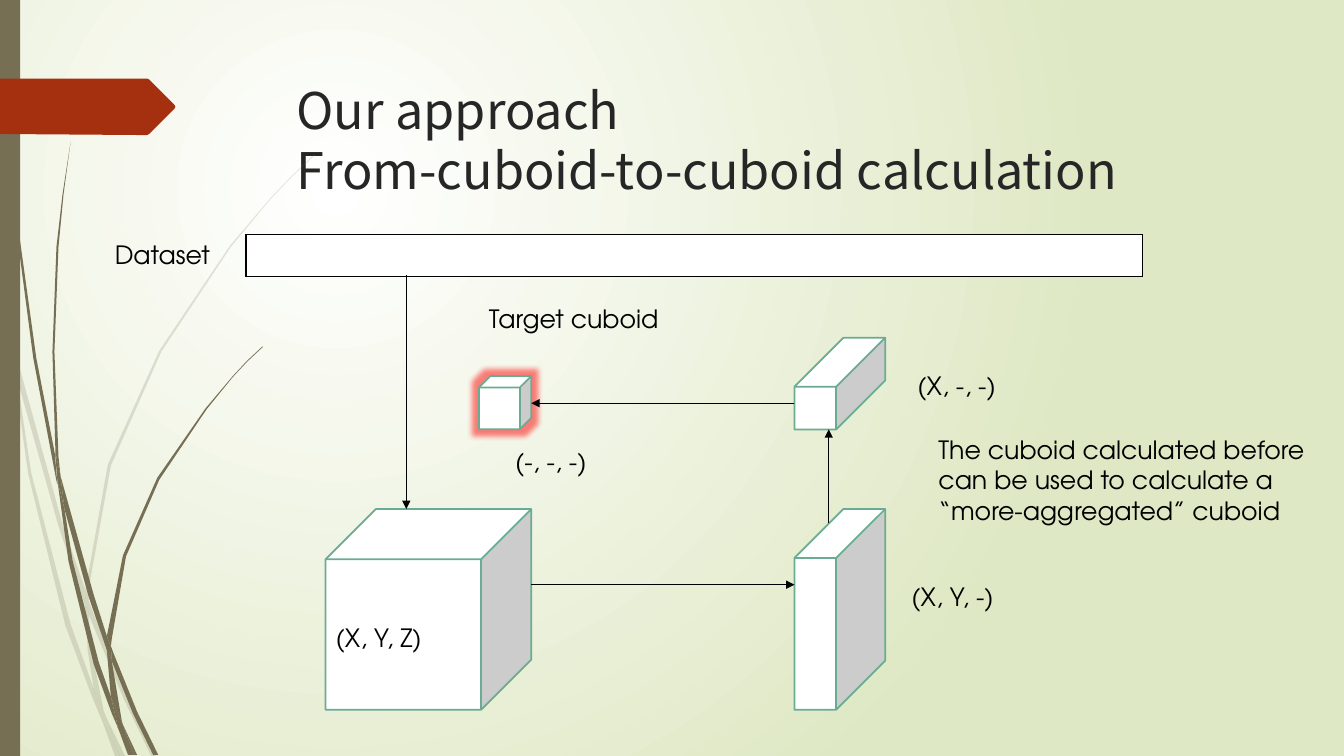
from dataclasses import dataclass

from lxml.etree import SubElement
from pptx import Presentation
from pptx.dml.color import RGBColor
from pptx.enum.shapes import MSO_CONNECTOR, MSO_SHAPE
from pptx.enum.text import MSO_ANCHOR, MSO_AUTO_SIZE, PP_ALIGN
from pptx.oxml.ns import qn
from pptx.util import Inches, Pt

OLIVE, RUST, GREEN = "766F54", "A53010", "6AAC91"
WHITE, BLACK, DARK, PALE, RED = "FFFFFF", "000000", "262626", "DFE8C4", "FF0000"
TITLE_FONT, BODY_FONT = "Noto Sans CJK SC", "TeX Gyre Adventor"
UNITS_PER_INCH = 1000

Outline = list[tuple[float, float]]


@dataclass
class Grass:
    opacity: int
    blades: list[Outline]


@dataclass
class Cuboid:
    left: float
    top: float
    width: float
    height: float
    depth: float
    glowing: bool = False


@dataclass
class Arrow:
    start: tuple[float, float]
    end: tuple[float, float]


@dataclass
class Label:
    text: str
    left: float
    top: float
    width: float
    height: float = 0.4


FAINT_GRASS = Grass(20, [
    [(0.11, 3.5), (0.09, 3.22), (0, 2.82), (0, 2.99), (0.1, 3.44)],
    [(0.58, 5.22), (0.84, 5.99), (0.85, 5.86), (0.62, 5.2), (0.14, 3.45), (0.17, 3.76)],
    [(0.92, 6.07), (0.88, 5.96), (0.88, 6.1), (1.23, 6.94), (1.5, 7.5), (1.55, 7.5), (1.27, 6.92)],
    [(1.19, 7.5), (1.24, 7.5), (1.05, 7.11)],
    [(0.93, 6.83), (0.7, 6.19), (0.31, 4.69), (0.17, 3.76), (0.11, 3.5), (0.28, 4.7),
     (0.65, 6.21), (0.92, 6.93), (1.01, 7.14), (0.99, 7.07)],
    [(0.84, 5.99), (0.87, 6.46), (0.93, 6.83), (0.96, 6.92), (1.05, 7.11), (1.03, 7.06),
     (0.91, 6.46), (0.88, 6.1), (0.88, 6.08)],
    [(0.88, 5.84), (1.1, 4.62), (1.6, 3.49), (2.29, 2.45), (2.68, 1.98), (2.9, 1.75),
     (3.12, 1.54), (3.12, 1.53), (2.89, 1.75), (2.68, 1.97), (2.28, 2.44), (1.58, 3.48),
     (1.07, 4.61), (0.85, 5.84), (0.85, 5.86), (0.88, 5.96)],
    [(1.01, 7.14), (1.14, 7.5), (1.19, 7.5)],
    [(0.88, 6.08), (0.88, 6.1), (0.88, 5.96), (0.85, 5.86), (0.84, 5.99)],
    [(0.96, 6.92), (0.93, 6.83), (0.99, 7.07), (1.01, 7.14), (1.19, 7.5), (1.05, 7.11)],
])
DARK_GRASS = Grass(100, [
    [(0.07, 1.1), (0.17, 2.33), (0.33, 3.55), (0.56, 4.77), (0.57, 4.81), (0.55, 4.57),
     (0.55, 4.53), (0.36, 3.55), (0.19, 2.32), (0.08, 1.09), (0.05, 0.48), (0.04, 0),
     (0.03, 0), (0.04, 0.48)],
    [(0.88, 5.92), (1.06, 6.45), (1.06, 6.33), (1.06, 6.31), (0.93, 5.9), (0.6, 4.72), (0.64, 5.05)],
    [(1.13, 6.49), (1.1, 6.41), (1.11, 6.56), (1.32, 7.08), (1.52, 7.49), (1.57, 7.49), (1.36, 7.06)],
    [(1.1, 6.91), (0.98, 6.57), (0.72, 5.56), (0.64, 5.05), (0.57, 4.77), (0.68, 5.57),
     (0.93, 6.59), (1.11, 7.08), (1.17, 7.22), (1.16, 7.17)],
    [(0.6, 4.72), (0.58, 4.53), (0.54, 3.49), (0.58, 2.45), (0.63, 1.93), (0.7, 1.41),
     (0.62, 1.93), (0.56, 2.45), (0.52, 3.49), (0.55, 4.49)],
    [(1.33, 7.49), (1.36, 7.49), (1.22, 7.19)],
    [(0.57, 4.77), (0.64, 5.05), (0.6, 4.72), (0.55, 4.49), (0.55, 4.53)],
    [(1.11, 6.33), (1.25, 5.52), (1.58, 4.76), (2.05, 4.06), (2.31, 3.74), (2.45, 3.59),
     (2.61, 3.44), (2.6, 3.44), (2.45, 3.58), (2.31, 3.73), (2.04, 4.05), (1.56, 4.74),
     (1.22, 5.51), (1.06, 6.31), (1.1, 6.41)],
    [(1.17, 7.22), (1.27, 7.49), (1.31, 7.49)],
    [(1.06, 6.45), (1.1, 6.91), (1.16, 7.06), (1.22, 7.19), (1.21, 7.16), (1.11, 6.56), (1.09, 6.51)],
    [(1.06, 6.45), (1.09, 6.51), (1.11, 6.56), (1.1, 6.41), (1.06, 6.31), (1.06, 6.33)],
    [(1.16, 7.06), (1.1, 6.91), (1.16, 7.17), (1.17, 7.22), (1.3, 7.49), (1.33, 7.49), (1.22, 7.19)],
])
BANNER = [(1.73, 1.08), (1.48, 1.33), (1.46, 1.34), (1.36, 1.34), (0, 1.33), (0, 0.78),
          (1.36, 0.78), (1.46, 0.78), (1.48, 0.79), (1.73, 1.04), (1.74, 1.06)]
CUBOIDS = [
    Cuboid(3.23, 5.05, 2.04, 1.99, 0.25),
    Cuboid(7.88, 5.05, 0.9, 1.99, 0.54),
    Cuboid(7.88, 3.35, 0.9, 0.91, 0.54),
    Cuboid(4.75, 3.73, 0.52, 0.53, 0.22, glowing=True),
]
DATASET_ARROW = Arrow((4.03, 2.73), (4.03, 5.05))
CUBOID_ARROWS = [
    Arrow((5.27, 5.8), (7.88, 5.8)),
    Arrow((7.88, 4), (5.27, 4)),
    Arrow((8.22, 5.19), (8.22, 4.26)),
]
LABELS = [
    Label("Dataset", 1.04, 2.33, 1.17),
    Label("(X, Y, Z)", 3.23, 6.12, 1.56),
    Label("Target cuboid", 4.75, 2.96, 2.02),
    Label("(X, Y, -)", 8.94, 5.72, 1.56),
    Label("(X, -, -)", 9, 3.62, 1.56),
    Label("(-, -, -)", 5.01, 4.38, 1.56),
    Label("The cuboid calculated before can be used to calculate a “more-aggregated” cuboid",
          9.21, 4.26, 4.07, 1.01),
]


def color(value: str) -> RGBColor:
    return RGBColor.from_string(value)


def format_text(frame, font: str, size: float, ink: str) -> None:
    for para in frame.paragraphs:
        para.alignment = PP_ALIGN.LEFT
        for span in para.runs:
            span.font.name = font
            span.font.size = Pt(size)
            span.font.color.rgb = color(ink)


def paint(shape, fill: str) -> None:
    shape.shadow.inherit = False
    shape.fill.solid()
    shape.fill.fore_color.rgb = color(fill)
    shape.line.fill.background()


def set_opacity(parent, percent: int) -> None:
    for swatch in parent.iter(qn("a:srgbClr")):
        SubElement(swatch, qn("a:alpha"), val=str(percent * 1000))


def paint_background(page) -> None:
    fill = page.background.fill
    fill.gradient()
    for stop, shade in zip(fill.gradient_stops, (WHITE, PALE)):
        stop.color.rgb = color(shade)
    gradient = page.element.find(".//" + qn("a:gradFill"))
    gradient.remove(gradient.find(qn("a:lin")))
    radial = SubElement(gradient, qn("a:path"), path="circle")
    SubElement(radial, qn("a:fillToRect"), l="50000", t="50000", r="100000", b="100000")


def add_outline(shapes, outline: Outline, fill: str):
    points = [(round(x * UNITS_PER_INCH), round(y * UNITS_PER_INCH)) for x, y in outline]
    builder = shapes.build_freeform(*points[0], scale=Inches(1) / UNITS_PER_INCH)
    builder.add_line_segments(points[1:], close=True)
    shape = builder.convert_to_shape()
    paint(shape, fill)
    return shape


def add_grass(page, grass: Grass) -> None:
    group = page.shapes.add_group_shape()
    for blade in grass.blades:
        shape = add_outline(group.shapes, blade, OLIVE)
        if grass.opacity < 100:
            set_opacity(shape.element.spPr, grass.opacity)


def add_cuboid(page, cuboid: Cuboid) -> None:
    shape = page.shapes.add_shape(MSO_SHAPE.CUBE, Inches(cuboid.left), Inches(cuboid.top),
                                  Inches(cuboid.width), Inches(cuboid.height))
    shape.adjustments[0] = cuboid.depth
    paint(shape, WHITE)
    shape.line.color.rgb = color(GREEN)
    shape.line.width = Pt(1.25)
    if cuboid.glowing:
        effects = shape.element.spPr.find(qn("a:effectLst"))
        glow = SubElement(effects, qn("a:glow"), rad=str(Pt(8)))
        SubElement(glow, qn("a:srgbClr"), val=RED)
        set_opacity(glow, 50)


def add_arrow(page, arrow: Arrow) -> None:
    ends = [Inches(value) for value in (*arrow.start, *arrow.end)]
    line = page.shapes.add_connector(MSO_CONNECTOR.STRAIGHT, *ends)
    line.line.color.rgb = color(BLACK)
    line.line.width = Pt(0.75)
    properties = line._element.spPr
    SubElement(properties.find(qn("a:ln")), qn("a:tailEnd"), type="triangle")
    SubElement(properties, qn("a:effectLst"))


def add_dataset(page) -> None:
    table = page.shapes.add_table(1, 1, Inches(2.44), Inches(2.33), Inches(8.89), Inches(0.41)).table
    table.first_row = table.horz_banding = False
    cell = table.cell(0, 0)
    properties = cell._tc.get_or_add_tcPr()
    for side in "LRTB":
        border = SubElement(properties, qn(f"a:ln{side}"), w=str(Pt(1)))
        SubElement(SubElement(border, qn("a:solidFill")), qn("a:srgbClr"), val=BLACK)
    cell.fill.solid()
    cell.fill.fore_color.rgb = color(WHITE)


def add_label(page, label: Label) -> None:
    box = page.shapes.add_textbox(Inches(label.left), Inches(label.top),
                                  Inches(label.width), Inches(label.height))
    box.text_frame.word_wrap = True
    box.text_frame.text = label.text
    format_text(box.text_frame, BODY_FONT, 18, BLACK)


def set_title(page) -> None:
    title = page.shapes.title
    title.left, title.top, title.width, title.height = map(Inches, (2.84, 0.68, 9.75, 1.4))
    frame = title.text_frame
    frame.text = "Our approach\vFrom-cuboid-to-cuboid calculation"
    frame.auto_size = MSO_AUTO_SIZE.NONE
    frame.vertical_anchor = MSO_ANCHOR.MIDDLE
    format_text(frame, TITLE_FONT, 36, DARK)


deck = Presentation()
deck.slide_width, deck.slide_height = Inches(13.33), Inches(7.5)
page = deck.slides.add_slide(deck.slide_layouts[5])
paint_background(page)
add_grass(page, FAINT_GRASS)
add_grass(page, DARK_GRASS)
paint(page.shapes.add_shape(MSO_SHAPE.RECTANGLE, 0, 0, Inches(0.2), Inches(7.5)), OLIVE)
add_outline(page.shapes, BANNER, RUST)
set_title(page)
for cuboid in CUBOIDS:
    add_cuboid(page, cuboid)
for arrow in CUBOID_ARROWS:
    add_arrow(page, arrow)
add_dataset(page)
add_arrow(page, DATASET_ARROW)
for label in LABELS:
    add_label(page, label)
deck.save("out.pptx")
